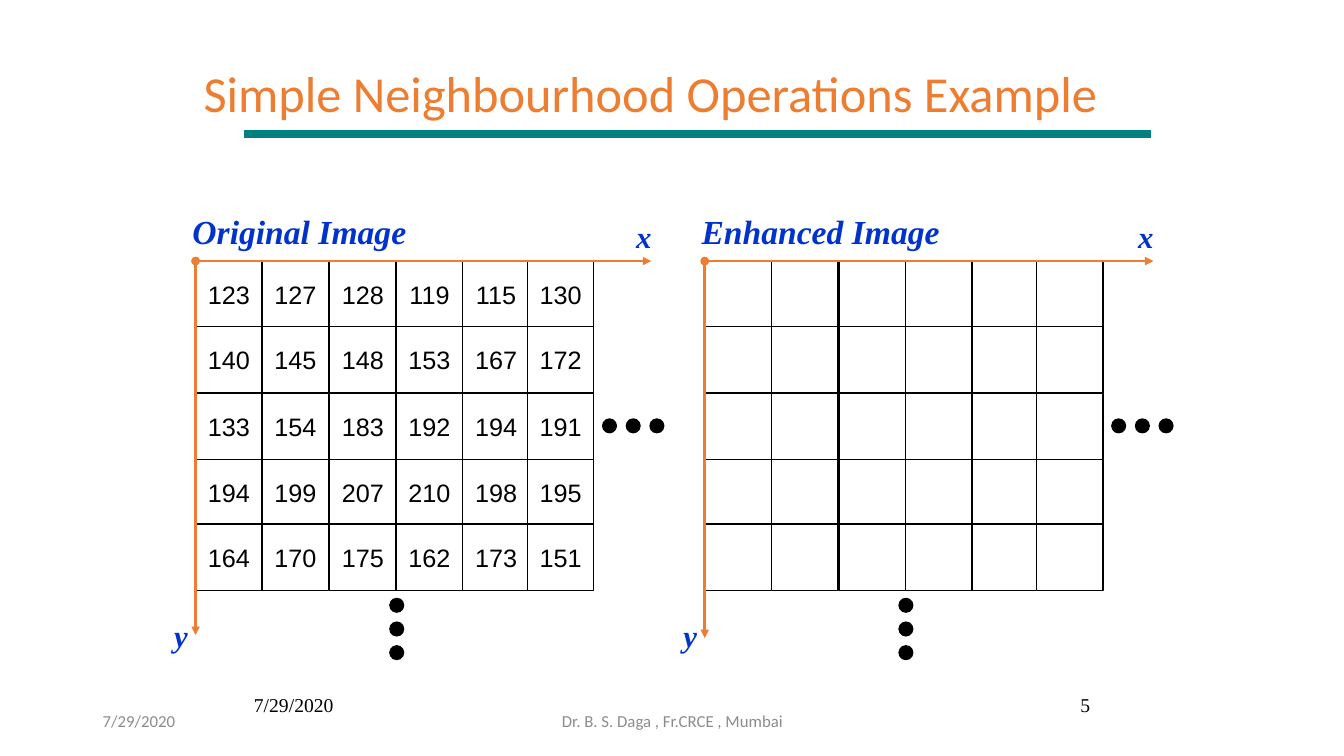
from lxml.etree import SubElement
from pptx import Presentation
from pptx.dml.color import RGBColor
from pptx.enum.shapes import MSO_CONNECTOR, MSO_SHAPE
from pptx.enum.text import MSO_ANCHOR, MSO_AUTO_SIZE, PP_ALIGN
from pptx.oxml.ns import qn
from pptx.util import Inches, Pt

# Content
TITLE = "Simple Neighbourhood Operations Example"
DATE = "7/29/2020"
AUTHOR = "Dr. B. S. Daga , Fr.CRCE , Mumbai"
PAGE = "5"
PIXELS = [
    (123, 127, 128, 119, 115, 130),
    (140, 145, 148, 153, 167, 172),
    (133, 154, 183, 192, 194, 191),
    (194, 199, 207, 210, 198, 195),
    (164, 170, 175, 162, 173, 151),
]
BLANK = [("",) * 6] * 5
# heading, heading width, left edge, x axis length, y axis end, values
GRIDS = [
    ("Original Image", 2.32, 1.94, 4.52, 6.3, PIXELS),
    ("Enhanced Image", 2.56, 6.99, 4.45, 6.33, BLANK),
]
COLORS = {
    "orange": "ED7D31", "blue": "0033CC", "teal": "008080",
    "black": "000000", "white": "FFFFFF", "gray": "8C8C8C",
}
SERIF, SANS, BODY = "Times New Roman", "Arial", "Calibri"

# Grid measures: the last column and row sit slightly closer
TOP, CELL, DOT, STEP = 2.59, 0.66, 0.15, 0.235
COLS = (0, 0.66, 1.33, 1.99, 2.65, 3.29)
ROWS = (0, 0.65, 1.31, 1.97, 2.61)

deck = Presentation()
deck.slide_width, deck.slide_height = Inches(13.33), Inches(7.5)
slide = deck.slides.add_slide(deck.slide_layouts[6])


def color(name):
    return RGBColor.from_string(COLORS[name])


def write(frame, text, size, face, tint, align=PP_ALIGN.LEFT, bold=False):
    para = frame.paragraphs[0]
    para.alignment = align
    run = para.add_run()
    run.text = text
    font = run.font
    font.size, font.name = Pt(size), face
    font.bold = font.italic = bold
    font.color.rgb = color(tint)
    return para


def add_text(home, box, text, size, face, tint, align=PP_ALIGN.LEFT,
             middle=False):
    frame = home.add_textbox(*map(Inches, box)).text_frame
    frame.word_wrap = True
    frame.vertical_anchor = MSO_ANCHOR.MIDDLE if middle else MSO_ANCHOR.TOP
    return write(frame, text, size, face, tint, align)


def add_label(home, box, text, size):
    frame = home.add_textbox(*map(Inches, box)).text_frame
    frame.word_wrap = False
    frame.auto_size = MSO_AUTO_SIZE.SHAPE_TO_FIT_TEXT
    write(frame, text, size, SERIF, "blue", bold=True)


def add_line(home, ends, tint, width, arrow=False):
    line = home.add_connector(MSO_CONNECTOR.STRAIGHT, *map(Inches, ends))
    line.line.color.rgb = color(tint)
    line.line.width = Pt(width)
    if arrow:
        stroke = line.line._get_or_add_ln()
        SubElement(stroke, qn("a:headEnd"), type="oval")
        SubElement(stroke, qn("a:tailEnd"), type="triangle")
    SubElement(line._element.spPr, qn("a:effectLst"))


def add_solid(home, kind, x, y, size, tint):
    shape = home.add_shape(kind, *map(Inches, (x, y, size, size)))
    shape.shadow.inherit = False
    shape.fill.solid()
    shape.fill.fore_color.rgb = color(tint)
    shape.line.fill.background()
    return shape


def add_cell(home, x, y, value):
    cell = add_solid(home, MSO_SHAPE.RECTANGLE, x, y, CELL, "white")
    cell.line.color.rgb = color("black")
    cell.line.width = Pt(1)
    if value:
        frame = cell.text_frame
        frame.word_wrap = False
        frame.vertical_anchor = MSO_ANCHOR.MIDDLE
        write(frame, str(value), 18, SANS, "black", PP_ALIGN.CENTER)


def add_dots(x, y, dx, dy):
    home = slide.shapes.add_group_shape().shapes
    for i in range(3):
        add_solid(home, MSO_SHAPE.OVAL, x + i * dx, y + i * dy, DOT, "black")


def add_grid(head, wide, left, reach, foot, values):
    home = slide.shapes.add_group_shape().shapes
    for dy, row in zip(ROWS, values):
        for dx, value in zip(COLS, row):
            add_cell(home, left + dx, TOP + dy, value)
    # Axes and their labels
    end = left + reach
    add_line(home, (left, TOP, end, TOP), "orange", 2, True)
    add_line(home, (left, TOP, left, foot), "orange", 2, True)
    add_label(home, (left - 0.13, 2.04, wide, 0.5), head, 24)
    add_label(home, (end - 0.25, 2.11, 0.35, 0.47), "x", 22)
    add_label(home, (left - 0.31, 6.07, 0.34, 0.47), "y", 22)


# Upper date, page number and title
main = slide.shapes
add_text(main, (2.42, 6.83, 2.08, 0.5), DATE, 14, SERIF, "black")
add_text(main, (8.83, 6.83, 2.08, 0.5), PAGE, 14, SERIF, "black",
         PP_ALIGN.RIGHT)
title = add_text(main, (1.92, 0.33, 9.42, 1.25), TITLE, 36, BODY, "orange",
                 middle=True)
title.line_spacing = 0.9

# Pixel grids, then the dots that continue them
for grid in GRIDS:
    add_grid(*grid)
for grid in GRIDS:
    left = grid[2]
    add_dots(left + 4.03, 4.15, STEP, 0)
    add_dots(left + 1.92, 5.93, 0, STEP)

# Title rule and footer
add_line(main, (2.42, 1.33, 11.42, 1.33), "teal", 6)
add_text(main, (0.92, 6.95, 3, 0.4), DATE, 12, BODY, "gray", middle=True)
add_text(main, (4.42, 6.95, 4.5, 0.4), AUTHOR, 12, BODY, "gray",
         PP_ALIGN.CENTER, True)

deck.save("out.pptx")
